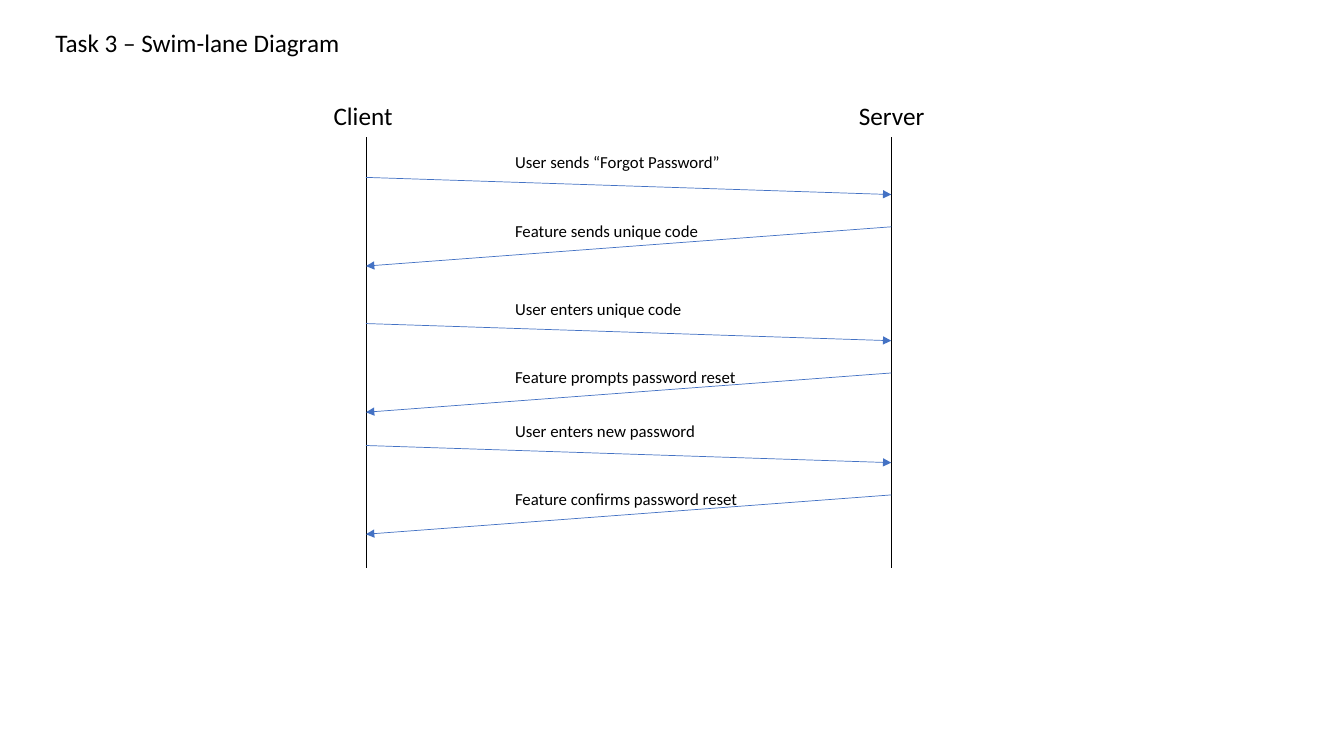
from lxml.etree import SubElement
from pptx import Presentation
from pptx.dml.color import RGBColor
from pptx.enum.shapes import MSO_CONNECTOR as Connector
from pptx.enum.text import MSO_AUTO_SIZE as AutoSize
from pptx.oxml.ns import qn
from pptx.util import Inches, Pt

COLORS = {"text": "000000", "lane": "000000", "message": "4472C4"}
CLIENT_X, SERVER_X = 3.63, 8.84
LANES = [("Client", CLIENT_X), ("Server", SERVER_X)]
EXCHANGES = [
    (1.46, "User sends “Forgot Password”", "Feature sends unique code"),
    (2.91, "User enters unique code", "Feature prompts password reset"),
    (4.12, "User enters new password", "Feature confirms password reset"),
]


def add_text(page, text, left, top, width, height=0.4, size=18, color="text"):
    """Add a text box holding one line of text."""
    box = page.shapes.add_textbox(Inches(left), Inches(top), Inches(width), Inches(height))
    frame = box.text_frame
    frame.word_wrap = True
    frame.auto_size = AutoSize.SHAPE_TO_FIT_TEXT
    span = frame.paragraphs[0].add_run()
    span.text = text
    span.font.name = "Calibri"
    span.font.size = Pt(size)
    span.font.color.rgb = RGBColor.from_string(COLORS[color])


def add_line(page, start, end, color, arrow=False):
    """Add a thin straight line, with an arrowhead at its end if asked."""
    line = page.shapes.add_connector(
        Connector.STRAIGHT, *(Inches(value) for value in (*start, *end))
    )
    line.line.width = Pt(0.5)
    line.line.color.rgb = RGBColor.from_string(COLORS[color])
    properties = line._element.spPr
    if arrow:
        SubElement(properties.find(qn("a:ln")), qn("a:tailEnd"), type="triangle")
    SubElement(properties, qn("a:effectLst"))


def add_lane(page, name, x):
    """Add a lane's vertical line and its heading."""
    add_line(page, (x, 1.36), (x, 5.64), "lane")
    add_text(page, name, x - 0.42, 0.95, 1.45)


def add_message(page, text, top, start, end):
    """Add a message arrow between the lanes and its label."""
    add_line(page, start, end, "message", arrow=True)
    add_text(page, text, 5.01, top, 2.46, height=0.3, size=12)


def add_exchange(page, top, request, reply):
    """Add a client request and the server reply below it."""
    add_message(page, request, top, (CLIENT_X, top + 0.3), (SERVER_X, top + 0.47))
    add_message(page, reply, top + 0.68, (SERVER_X, top + 0.79), (CLIENT_X, top + 1.18))


def main():
    """Build and save the swim-lane slide."""
    deck = Presentation()
    deck.slide_width, deck.slide_height = Inches(13.33), Inches(7.5)
    page = deck.slides.add_slide(deck.slide_layouts[6])
    add_text(page, "Task 3 – Swim-lane Diagram", 0.45, 0.22, 4.89)
    for name, x in LANES:
        add_lane(page, name, x)
    for top, request, reply in EXCHANGES:
        add_exchange(page, top, request, reply)
    deck.save("out.pptx")


if __name__ == "__main__":
    main()
